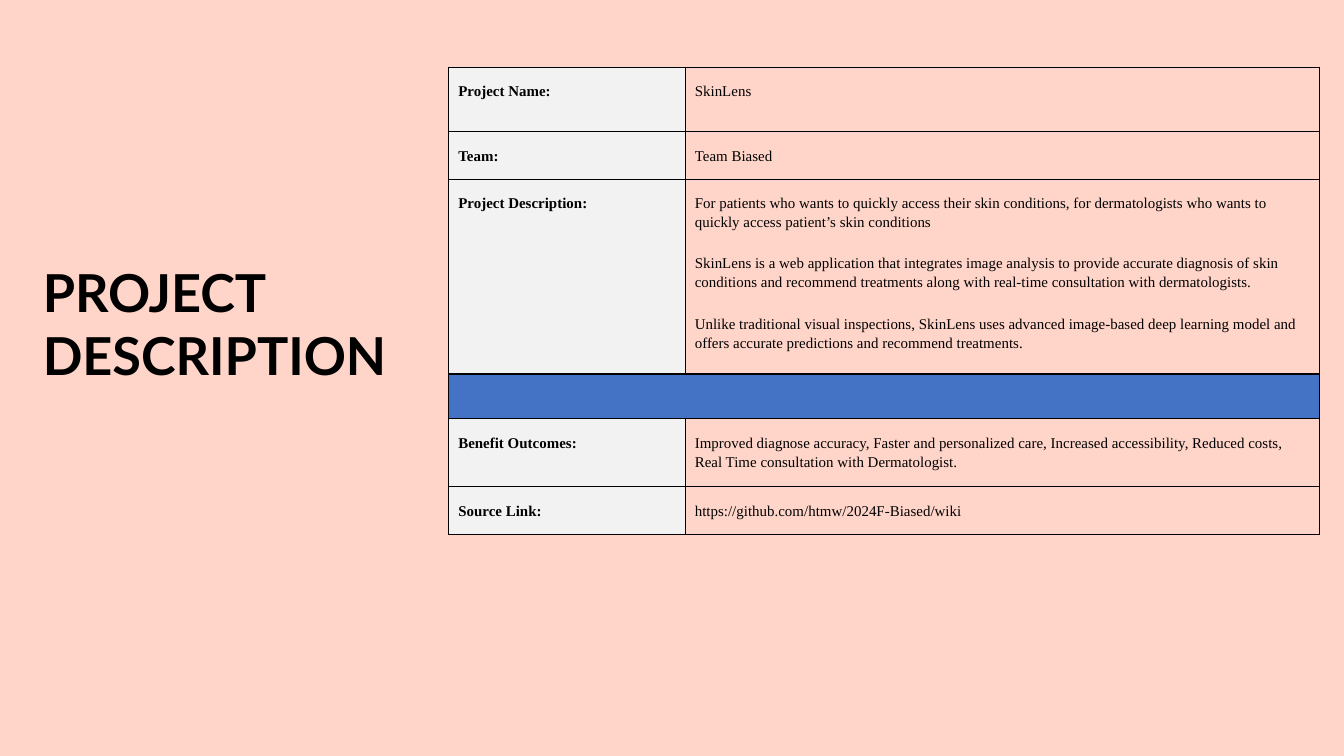
from dataclasses import dataclass

from lxml import etree
from pptx import Presentation
from pptx.dml.color import RGBColor
from pptx.enum.text import MSO_ANCHOR
from pptx.oxml.ns import qn
from pptx.slide import Slide
from pptx.table import Table, _Cell
from pptx.text.text import TextFrame
from pptx.util import Inches, Pt

BOTTOM = MSO_ANCHOR.BOTTOM
BLANK_LAYOUT = 6
SLIDE_WIDTH = 10
SLIDE_HEIGHT = SLIDE_WIDTH * 9 / 16


@dataclass(frozen=True)
class Theme:
    background: str = "FFD5CA"
    ink: str = "000000"
    label_fill: str = "F2F2F2"
    band_fill: str = "4472C4"
    title_font: str = "Lato"
    table_font: str = "Times New Roman"
    title_size: float = 28
    table_size: float = 8
    table_line_spacing: float = 1.15
    border_width: float = 0.67


@dataclass(frozen=True)
class Row:
    height: float
    label: str = ""
    details: tuple[str, ...] = ()


THEME = Theme()
TABLE_HEIGHT = 3.44
COLUMN_WIDTHS = (1.76, 4.72)
ROWS = (
    Row(0.48, "Project Name:", ("SkinLens",)),
    Row(0.27, "Team:", ("Team Biased",)),
    Row(1.26, "Project Description:", (
        "For patients who wants to quickly access their skin conditions, "
        "for dermatologists who wants to quickly access patient’s skin conditions",
        "SkinLens is a web application that integrates image analysis to provide "
        "accurate diagnosis of skin conditions and recommend treatments along with "
        "real-time consultation with dermatologists.",
        "Unlike traditional visual inspections, SkinLens uses advanced image-based "
        "deep learning model and offers accurate predictions and recommend treatments.",
    )),
    Row(0.23),
    Row(0.46, "Benefit Outcomes:", (
        "Improved diagnose accuracy, Faster and personalized care, Increased "
        "accessibility, Reduced costs, Real Time consultation with Dermatologist.",
    )),
    Row(0.29, "Source Link:", ("https://github.com/htmw/2024F-Biased/wiki",)),
)


def apply_format(target: object, values: dict[str, object]) -> None:
    for name, value in values.items():
        setattr(target, name, value)


def write_text(frame: TextFrame, texts: tuple[str, ...], font: str, size: float,
               bold: bool, line_spacing: float = 1.0) -> None:
    for index, text in enumerate(texts):
        paragraph = frame.add_paragraph() if index else frame.paragraphs[0]
        paragraph.line_spacing = line_spacing
        if index:
            paragraph.space_before = Pt(12)
        run = paragraph.add_run()
        run.text = text
        apply_format(run.font, {"name": font, "size": Pt(size), "bold": bold})
        run.font.color.rgb = RGBColor.from_string(THEME.ink)


def size_empty_cell(cell: _Cell) -> None:
    paragraph = cell.text_frame.paragraphs[0]
    paragraph.line_spacing = THEME.table_line_spacing
    for old in paragraph._p.findall(qn("a:endParaRPr")):
        paragraph._p.remove(old)
    end = etree.SubElement(paragraph._p, qn("a:endParaRPr"), sz=str(int(THEME.table_size * 100)))
    etree.SubElement(end, qn("a:latin"), typeface=THEME.table_font)


def add_borders(cell: _Cell) -> None:
    properties = cell._tc.get_or_add_tcPr()
    for position, side in enumerate(("a:lnL", "a:lnR", "a:lnT", "a:lnB")):
        line = etree.Element(qn(side), w=str(Pt(THEME.border_width)))
        fill = etree.SubElement(line, qn("a:solidFill"))
        etree.SubElement(fill, qn("a:srgbClr"), val=THEME.ink)
        properties.insert(position, line)


def style_cell(cell: _Cell, fill: str | None) -> None:
    apply_format(cell, {
        "margin_left": Inches(0.07), "margin_right": Inches(0.07),
        "margin_top": Inches(0.1), "margin_bottom": Inches(0.1),
    })
    if fill:
        cell.fill.solid()
        cell.fill.fore_color.rgb = RGBColor.from_string(fill)
    else:
        cell.fill.background()
    add_borders(cell)


def fill_row(table: Table, index: int, row: Row) -> None:
    table.rows[index].height = Inches(row.height)
    label_cell, detail_cell = table.cell(index, 0), table.cell(index, 1)
    if not row.label:
        label_cell.merge(detail_cell)
        for cell in (label_cell, detail_cell):
            style_cell(cell, THEME.band_fill)
            size_empty_cell(cell)
        return
    contents = ((label_cell, (row.label,), THEME.label_fill, True),
                (detail_cell, row.details, None, False))
    for cell, texts, fill, bold in contents:
        style_cell(cell, fill)
        write_text(cell.text_frame, texts, THEME.table_font, THEME.table_size, bold,
                   THEME.table_line_spacing)


def add_title(slide: Slide) -> None:
    shape = slide.shapes.add_textbox(Inches(0.22), Inches(2), Inches(2.93), Inches(0.97))
    frame = shape.text_frame
    margins = ("margin_left", "margin_right", "margin_top", "margin_bottom")
    apply_format(frame, dict.fromkeys(margins, Inches(0.1)))
    apply_format(frame, {"word_wrap": True, "vertical_anchor": BOTTOM})
    write_text(frame, ("PROJECT DESCRIPTION",), THEME.title_font, THEME.title_size, True)


def add_project_table(slide: Slide) -> None:
    shape = slide.shapes.add_table(
        len(ROWS), len(COLUMN_WIDTHS), Inches(3.34), Inches(0.5),
        Inches(sum(COLUMN_WIDTHS)), Inches(TABLE_HEIGHT))
    table = shape.table
    apply_format(table, {"first_row": False, "horz_banding": False})
    for column, width in zip(table.columns, COLUMN_WIDTHS):
        column.width = Inches(width)
    for index, row in enumerate(ROWS):
        fill_row(table, index, row)
    shape.height = Inches(TABLE_HEIGHT)


def main() -> None:
    presentation = Presentation()
    apply_format(presentation, {
        "slide_width": Inches(SLIDE_WIDTH), "slide_height": Inches(SLIDE_HEIGHT),
    })
    slide = presentation.slides.add_slide(presentation.slide_layouts[BLANK_LAYOUT])
    slide.background.fill.solid()
    slide.background.fill.fore_color.rgb = RGBColor.from_string(THEME.background)
    add_title(slide)
    add_project_table(slide)
    presentation.save("out.pptx")


if __name__ == "__main__":
    main()
